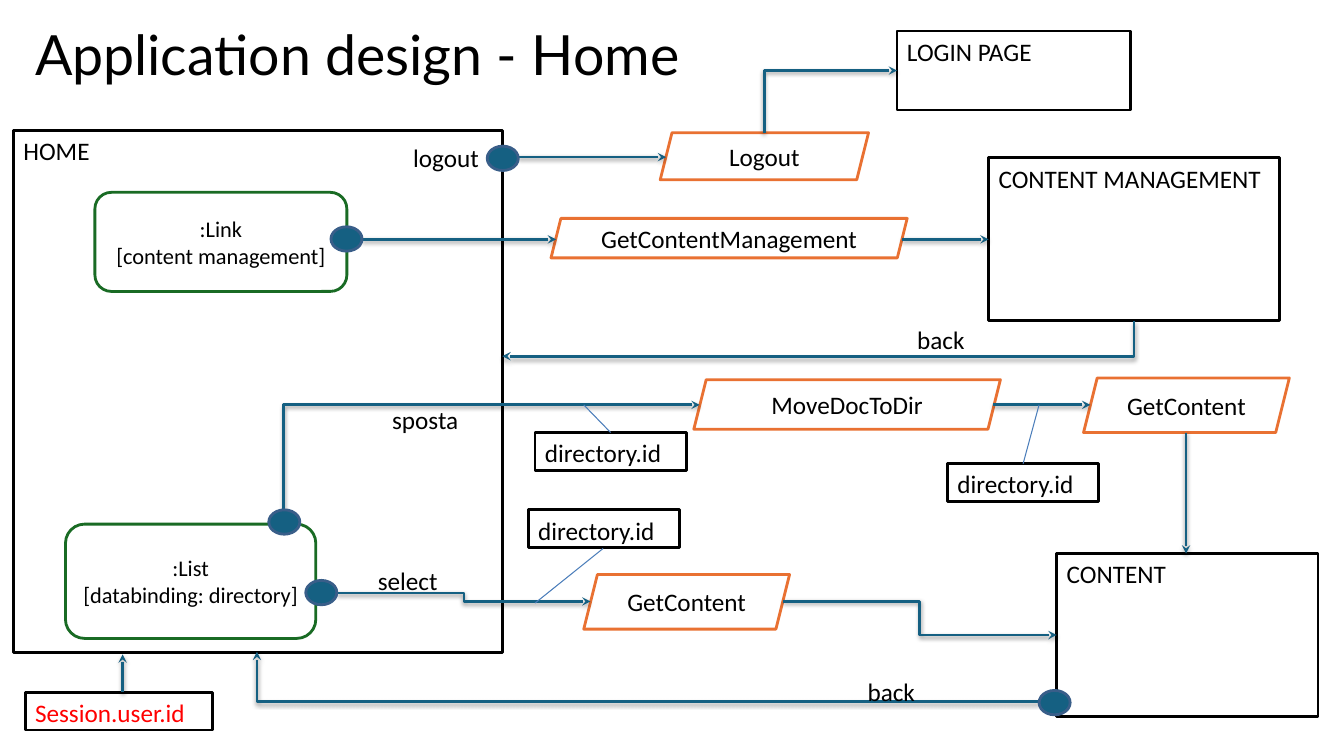
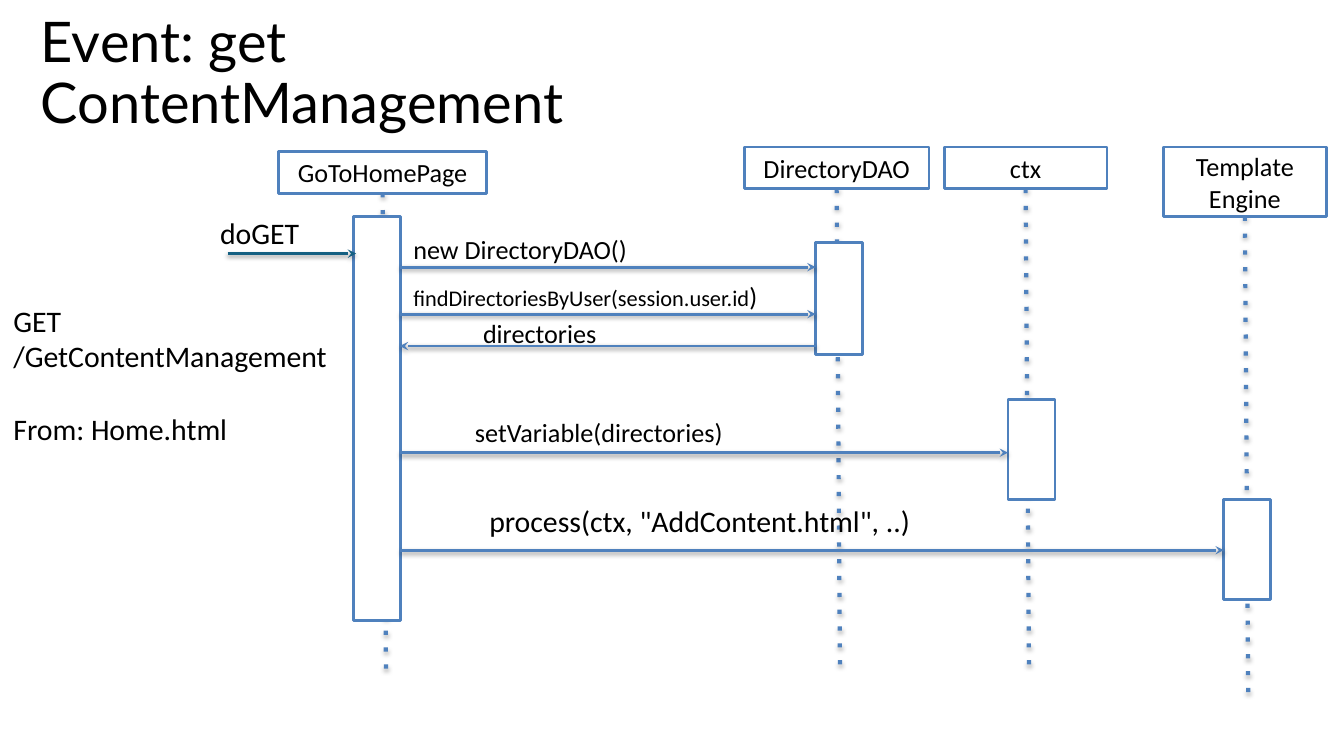
"""Draw the application design and its content management event as two slides."""
from dataclasses import dataclass

from lxml.etree import SubElement
from pptx import Presentation
from pptx.dml.color import RGBColor
from pptx.enum.shapes import MSO_CONNECTOR as Route, MSO_SHAPE as Preset
from pptx.enum.text import MSO_ANCHOR as Anchor, PP_ALIGN as Align
from pptx.oxml.ns import qn
from pptx.util import Emu, Pt

WIDTH, HEIGHT = 12192000, 6858000
COLUMNS, ROWS = 160, 90


@dataclass(frozen=True)
class Theme:
    title_font: str = "Lato"
    body_font: str = "Calibri"
    ink: str = "000000"
    paper: str = "FFFFFF"
    alert: str = "FF0000"
    flow: str = "156082"
    event_edge: str = "395E89"
    component: str = "196B24"
    operation: str = "E97132"
    sequence: str = "4F81BD"
    note: str = "4A7DBA"
    title: float = 40
    long_title: float = 39.6
    body: float = 18
    small: float = 16
    message: float = 18.7
    call: float = 21.3
    outline: float = 2
    hairline: float = 0.75
    lifeline: float = 3
    tight: tuple = (1.2, 0.6)
    roomy: tuple = (1.6, 0.8)


THEME = Theme()


def col(count):
    return Emu(round(count * WIDTH / COLUMNS))


def row(count):
    return Emu(round(count * HEIGHT / ROWS))


def area(left, top, width, height):
    return col(left), row(top), col(width), row(height)


def write(frame, paragraphs, size, color=THEME.ink, font=THEME.body_font,
          align=Align.LEFT, anchor=Anchor.TOP, inset=THEME.tight):
    """Fill a frame with paragraphs; each is a text or a list of (text, size) runs."""
    frame.word_wrap = True
    frame.vertical_anchor = anchor
    frame.margin_left = frame.margin_right = col(inset[0])
    frame.margin_top = frame.margin_bottom = row(inset[1])
    for index, content in enumerate(paragraphs):
        paragraph = frame.add_paragraph() if index else frame.paragraphs[0]
        paragraph.alignment = align
        runs = [(content, size)] if isinstance(content, str) else content
        for text, points in runs:
            run = paragraph.add_run()
            run.text = text
            run.font.size = Pt(points)
            run.font.name = font
            run.font.color.rgb = RGBColor.from_string(color)
    return frame


def label(slide, place, paragraphs, size=THEME.body, **style):
    words = slide.shapes.add_textbox(*area(*place))
    return write(words.text_frame, paragraphs, size, **style)


def title(slide, place, text, size):
    heading = label(slide, place, [text], size, font=THEME.title_font,
                    anchor=Anchor.MIDDLE)
    heading.paragraphs[0].line_spacing = 0.9


def block(slide, preset, place, edge, fill=THEME.paper):
    shape = slide.shapes.add_shape(preset, *area(*place))
    shape.shadow.inherit = False
    shape.fill.solid()
    shape.fill.fore_color.rgb = RGBColor.from_string(fill)
    shape.line.color.rgb = RGBColor.from_string(edge)
    shape.line.width = Pt(THEME.outline)
    return shape


def page(slide, place, text, color=THEME.ink):
    outline = block(slide, Preset.RECTANGLE, place, THEME.ink)
    write(outline.text_frame, [text], THEME.body, color)


def component(slide, place, paragraphs):
    outline = block(slide, Preset.ROUNDED_RECTANGLE, place, THEME.component)
    write(outline.text_frame, paragraphs, THEME.small,
          align=Align.CENTER, anchor=Anchor.MIDDLE)


def operation(slide, place, text):
    outline = block(slide, Preset.PARALLELOGRAM, place, THEME.operation)
    write(outline.text_frame, [text], THEME.body,
          align=Align.CENTER, anchor=Anchor.MIDDLE)


def event(slide, left, top):
    block(slide, Preset.OVAL, (left, top, 3.7, 2.9), THEME.event_edge, THEME.flow)


def link(slide, start, end, color, width, route=Route.STRAIGHT):
    """Join two grid points by a line without effects."""
    line = slide.shapes.add_connector(route, col(start[0]), row(start[1]),
                                      col(end[0]), row(end[1]))
    line.line.color.rgb = RGBColor.from_string(color)
    line.line.width = Pt(width)
    SubElement(line._element.spPr, qn("a:effectLst"))
    return line


def cast_shadow(line, distance, opacity):
    effects = line._element.spPr.find(qn("a:effectLst"))
    shadow = SubElement(effects, qn("a:outerShdw"), blurRad="40000",
                        dist=str(distance), dir="5400000", rotWithShape="0")
    tint = SubElement(shadow, qn("a:srgbClr"), val=THEME.ink)
    SubElement(tint, qn("a:alpha"), val=str(opacity * 1000))


def arrow(slide, start, end, color=THEME.flow, route=Route.STRAIGHT):
    line = link(slide, start, end, color, THEME.outline, route)
    SubElement(line._element.spPr.get_or_add_ln(), qn("a:tailEnd"), type="stealth")
    cast_shadow(line, 20000, 38)
    return line


def corner_arrow(slide, start, end, upright=True):
    """Draw an arrow with one bend; an upright one leaves its start vertically."""
    line = arrow(slide, start, end, route=Route.ELBOW)
    line._element.spPr.find(qn("a:prstGeom")).set("prst", "bentConnector2")
    if upright:
        across, down = line.width, line.height
        middle_x, middle_y = line.left + across // 2, line.top + down // 2
        frame = line._element.spPr.get_or_add_xfrm()
        frame.flipH = frame.flipV = False
        line.width, line.height = down, across
        line.left, line.top = Emu(middle_x - down // 2), Emu(middle_y - across // 2)
        line.rotation = 90 if end[1] > start[1] else 270


def lifeline(slide, x, top):
    line = link(slide, (x, top), (x + 0.4, top + 57), THEME.sequence, THEME.lifeline)
    SubElement(line._element.spPr.get_or_add_ln(), qn("a:prstDash"), val="dot")
    cast_shadow(line, 23000, 35)


def participant(slide, place, lines, bar_left, bar_top, bar_height):
    """Draw a named box with its lifeline and activation bar."""
    left, top, width, height = place
    lifeline(slide, left + width / 2, top + height)
    head = block(slide, Preset.RECTANGLE, place, THEME.sequence)
    write(head.text_frame, lines, THEME.message, align=Align.CENTER,
          anchor=Anchor.MIDDLE, inset=THEME.roomy)
    block(slide, Preset.RECTANGLE, (bar_left, bar_top, 5.6, bar_height), THEME.sequence)


def home_design(slide):
    """Show the pages, operations and flows around the home page."""
    title(slide, (3, 3.1, 79.2, 7.4), "Application design - Home", THEME.long_title)
    for place, name in (
            ((1.6, 15.5, 58.2, 62.2), "HOME"),
            ((106.8, 3.7, 27.8, 9.4), "LOGIN PAGE"),
            ((117.7, 18.8, 34.6, 19.4), "CONTENT MANAGEMENT"),
            ((125.8, 65.9, 31.1, 19.4), "CONTENT")):
        page(slide, place, name)
    page(slide, (3, 82.4, 22.3, 4.5), "Session.user.id", THEME.alert)
    for left, top in ((62.9, 60.7), (63.7, 51.5), (112.8, 55.2)):
        page(slide, (left, top, 18, 4.5), "directory.id")

    component(slide, (11.3, 22.9, 30, 11.8), [":Link", "[content management]"])
    component(slide, (7.8, 62.4, 29.8, 13.6), [":List", "[databinding: directory]"])
    for place, name in (
            ((78.6, 15.8, 24.8, 5.6), "Logout"),
            ((65.6, 26, 42.4, 4.7), "GetContentManagement"),
            ((82.6, 45.2, 36.5, 5.9), "MoveDocToDir"),
            ((129, 45, 24.5, 6.5), "GetContent"),
            ((69.5, 68.4, 24.5, 6.5), "GetContent")):
        operation(slide, place, name)

    for start, end in (
            ((61.7, 18.7), (79.3, 18.7)), ((43.1, 28.5), (66.2, 28.5)),
            ((107.4, 28.5), (117.7, 28.5)), ((118.2, 48.2), (129.8, 48.2)),
            ((141.2, 51.5), (141.2, 65.9)), ((14.6, 82.4), (14.6, 77.9))):
        arrow(slide, start, end)
    for start, end in (((40.2, 70.6), (70.3, 71.6)), ((93.2, 71.6), (125.8, 75.6))):
        arrow(slide, start, end, route=Route.ELBOW)
    for start, end in (((91, 15.8), (106.8, 8.4)), ((135, 38.2), (59.8, 42.4)),
                       ((33.8, 60.7), (83.3, 48.2))):
        corner_arrow(slide, start, end)
    corner_arrow(slide, (123.7, 83.5), (30.6, 77.6), upright=False)
    for start, end in (((71.8, 65.3), (63.7, 71.8)), ((72.7, 51.5), (69.5, 48.2)),
                       ((121.8, 55.2), (123.7, 48.2))):
        link(slide, start, end, THEME.note, THEME.hairline)

    for left, top in ((58, 17.4), (39.4, 27), (32, 60.7), (36.4, 69.1), (123.7, 82.2)):
        event(slide, left, top)
    for left, top, text in ((48, 16.3, "logout"), (108, 38, "back"),
                            (45.5, 47.5, "sposta"), (43.8, 66.7, "select"),
                            (102.1, 79.9, "back")):
        label(slide, (left, top, 10.9, 3.6), [text])


def content_management_event(slide):
    """Show the message sequence that answers the request."""
    title(slide, (3.7, 4.2, 93.4, 9.4), "Event: get ContentManagement", THEME.title)
    for place, lines, *bar in (
            ((33.2, 18, 24.7, 5), ["GoToHomePage"], 42.1, 25.8, 48.1),
            ((88.6, 17.5, 22, 5), ["DirectoryDAO"], 97.1, 28.9, 13.3),
            ((112.4, 17.5, 19.4, 5), ["ctx"], 120, 47.6, 11.9),
            ((138.5, 17.5, 19.4, 8.3), ["Template", "Engine"], 145.7, 59.5, 11.9)):
        participant(slide, place, lines, *bar)

    caller, directory, context, engine = 47.6, 97.1, 120, 145.7
    for sender, receiver, y in (
            (caller, directory, 31.8), (caller, directory, 37.4),
            (directory, caller, 41.2), (caller, context, 53.9),
            (caller, engine, 65.5)):
        arrow(slide, (sender, y), (receiver, y), THEME.sequence)
    arrow(slide, (27.1, 30.2), (42.4, 30.2))

    search = [("findDirectoriesByUser(session.user.id", THEME.small),
              (")", THEME.message)]
    for place, content, size, align in (
            ((47.6, 27, 47.9, 4.1), "new DirectoryDAO()", THEME.message, Align.LEFT),
            ((47.6, 32.6, 47.9, 4.1), search, THEME.message, Align.LEFT),
            ((55.9, 37, 18.1, 4.9), "directories", THEME.message, Align.LEFT),
            ((53.9, 48.8, 34.8, 4.2), "setVariable(directories)", THEME.message,
             Align.CENTER),
            ((48.5, 59, 69.6, 5.8), 'process(ctx, "AddContent.html", ..)', THEME.call,
             Align.CENTER),
            ((24.6, 24.8, 16.4, 4.8), "doGET", THEME.call, Align.LEFT)):
        label(slide, place, [content], size, align=align, inset=THEME.roomy)
    request = label(slide, (0, 35.2, 41.8, 17.9),
                    ["GET", "/GetContentManagement", "From: Home.html"],
                    THEME.call, inset=THEME.roomy)
    request.paragraphs[2].space_before = Pt(26)


def main():
    deck = Presentation()
    deck.slide_width, deck.slide_height = Emu(WIDTH), Emu(HEIGHT)
    for draw in (home_design, content_management_event):
        draw(deck.slides.add_slide(deck.slide_layouts[6]))
    deck.save("out.pptx")


if __name__ == "__main__":
    main()
